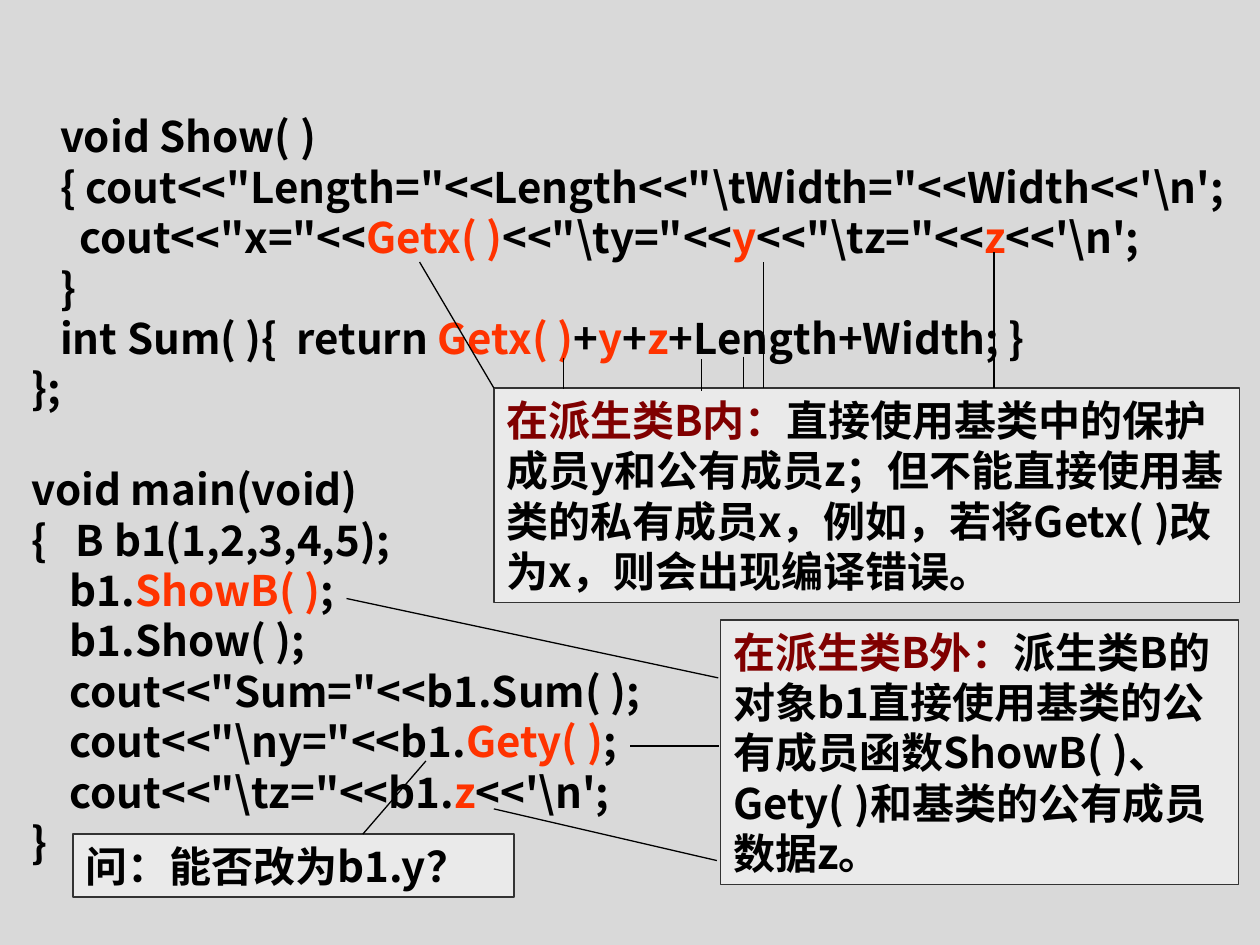
import dataclasses
import typing

import lxml.etree
import pptx
import pptx.dml.color
import pptx.enum.shapes
import pptx.enum.text
import pptx.oxml.ns
import pptx.util

SCALE = 9144
FONT = "Noto Sans CJK SC"
SIZE = 24
LEADING = 28.8
HUES = {
    "back": "D9D9D9",
    "panel": "EAEAEA",
    "edge": "333333",
    "ink": "000000",
    "red": "FF3300",
    "maroon": "800000",
}


@dataclasses.dataclass
class Note:
    left: int
    top: int
    width: int
    height: int
    text: str


@dataclasses.dataclass
class Link:
    x1: int
    y1: int
    x2: int
    y2: int


SHOW = r"""   void Show( )
   { cout<<"Length="<<Length<<"\tWidth="<<Width<<'\n';
     cout<<"x="<<|Getx( )|<<"\ty="<<|y|<<"\tz="<<|z|<<'\n';
   }
   int Sum( ){  return |Getx( )|+|y|+|z|+Length+Width; }
};"""

MAIN = r"""void main(void)
{   B b1(1,2,3,4,5);
    b1.|ShowB( )|;
    b1.Show( );
    cout<<"Sum="<<b1.Sum( );
    cout<<"\ny="<<b1.|Gety( )|;
    cout<<"\tz="<<b1.|z|<<'\n';
}"""

NOTES = [
    Note(392, 308, 592, 170,
         "|在派生类B内：|直接使用基类中的保护成员y和公有成员z；但不能直接使用"
         "基类的私有成员x，例如，若将Getx( )改为x，则会出现编译错误。"),
    Note(572, 492, 411, 210,
         "|在派生类B外：|派生类B的对象b1直接使用基类的公有成员函数"
         "ShowB( )、Gety( )和基类的公有成员数据z。"),
    Note(58, 662, 350, 50, "问：能否改为b1.y？"),
]

LINKS = [
    Link(333, 208, 392, 308),
    Link(447, 284, 447, 309),
    Link(789, 200, 789, 308),
    Link(606, 208, 606, 308),
    Link(275, 475, 570, 538),
    Link(500, 592, 571, 592),
    Link(392, 642, 569, 683),
    Link(557, 285, 557, 310),
    Link(590, 283, 590, 308),
    Link(338, 604, 288, 662),
]


def px(count: int) -> int:
    return pptx.util.Emu(count * SCALE)


def tint(name: str) -> pptx.dml.color.RGBColor:
    return pptx.dml.color.RGBColor.from_string(HUES[name])


def write(para: typing.Any, text: str, *, accent: str = "red",
          align: typing.Any = pptx.enum.text.PP_ALIGN.LEFT,
          before: float = 0) -> None:
    para.alignment = align
    para.space_before = pptx.util.Pt(before)
    para.line_spacing = pptx.util.Pt(LEADING)
    for index, part in enumerate(text.split("|")):
        if not part:
            continue
        run = para.add_run()
        run.text = part
        font = run.font
        font.name = FONT
        font.size = pptx.util.Pt(SIZE)
        font.bold = True
        font.color.rgb = tint(accent if index % 2 else "ink")
        east = lxml.etree.Element(pptx.oxml.ns.qn("a:ea"), typeface=FONT)
        font._element.find(pptx.oxml.ns.qn("a:latin")).addnext(east)


def set_frame(frame: typing.Any) -> None:
    frame.word_wrap = True
    frame.auto_size = pptx.enum.text.MSO_AUTO_SIZE.NONE
    frame.vertical_anchor = pptx.enum.text.MSO_ANCHOR.TOP
    frame.margin_left = frame.margin_right = px(10)
    frame.margin_top = frame.margin_bottom = px(5)


def add_code(body: typing.Any) -> None:
    body.left, body.top = px(15), px(83)
    body.width, body.height = px(968), px(610)
    frame = body.text_frame
    set_frame(frame)
    first = True
    for block in (SHOW, MAIN):
        for row, line in enumerate(block.splitlines()):
            para = frame.paragraphs[0] if first else frame.add_paragraph()
            gap = LEADING if row == 0 and not first else 0
            write(para, line, before=gap,
                  align=pptx.enum.text.PP_ALIGN.JUSTIFY)
            first = False


def add_note(slide: typing.Any, note: Note) -> None:
    box = slide.shapes.add_shape(
        pptx.enum.shapes.MSO_SHAPE.RECTANGLE,
        px(note.left), px(note.top), px(note.width), px(note.height))
    box.shadow.inherit = False
    box.fill.solid()
    box.fill.fore_color.rgb = tint("panel")
    box.line.color.rgb = tint("edge")
    box.line.width = pptx.util.Pt(0.75)
    set_frame(box.text_frame)
    write(box.text_frame.paragraphs[0], note.text, accent="maroon")


def add_link(slide: typing.Any, link: Link) -> None:
    line = slide.shapes.add_connector(
        pptx.enum.shapes.MSO_CONNECTOR.STRAIGHT,
        px(link.x1), px(link.y1), px(link.x2), px(link.y2))
    line.line.color.rgb = tint("ink")
    line.line.width = pptx.util.Pt(0.75)
    lxml.etree.SubElement(line._element.spPr, pptx.oxml.ns.qn("a:effectLst"))


def main() -> None:
    deck = pptx.Presentation()
    deck.slide_width, deck.slide_height = px(1000), px(750)
    slide = deck.slides.add_slide(deck.slide_layouts[0])
    slide.background.fill.solid()
    slide.background.fill.fore_color.rgb = tint("back")
    title = slide.shapes.title._element
    title.getparent().remove(title)
    add_code(slide.placeholders[1])
    for note in NOTES:
        add_note(slide, note)
    for link in LINKS:
        add_link(slide, link)
    deck.save("out.pptx")


if __name__ == "__main__":
    main()
